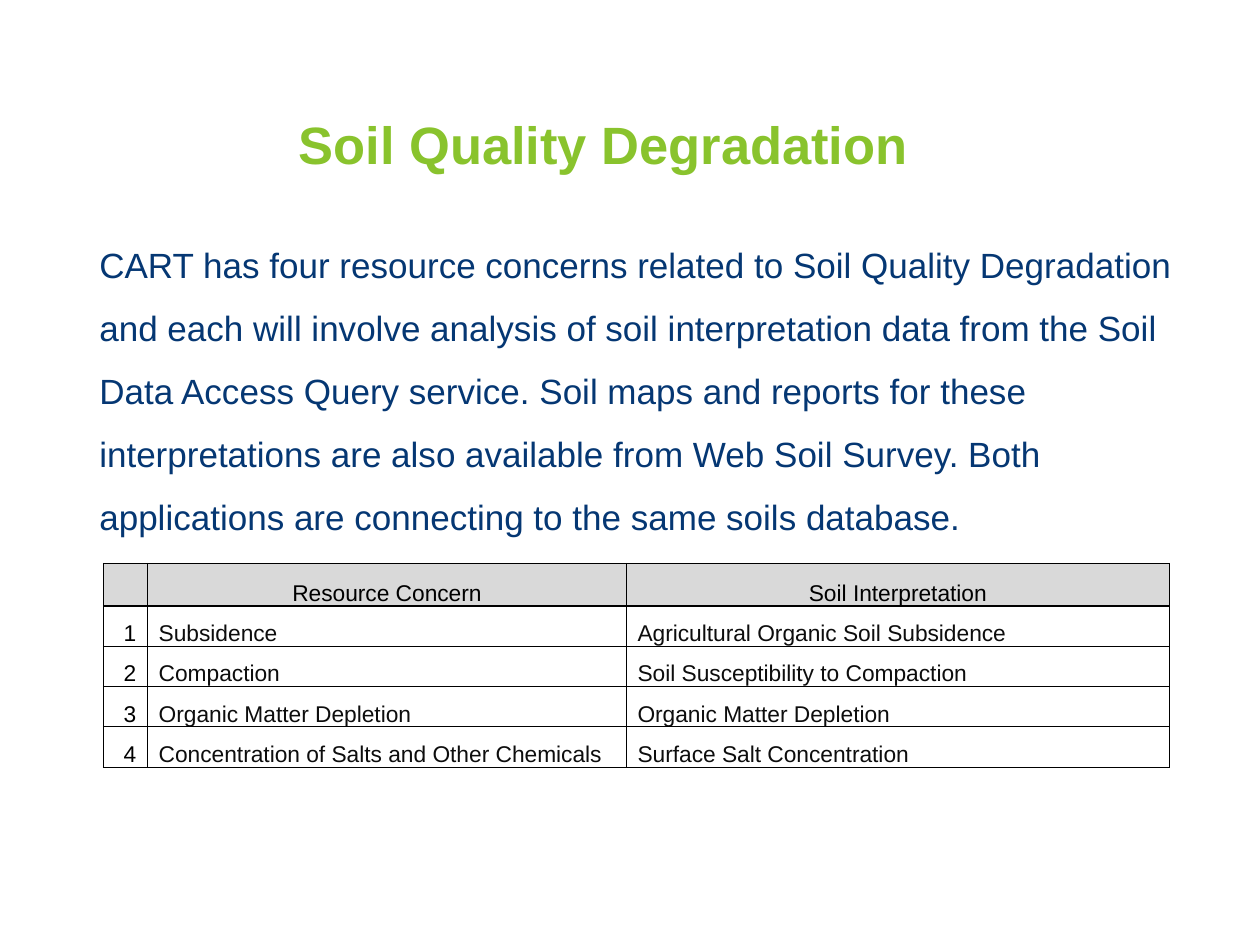
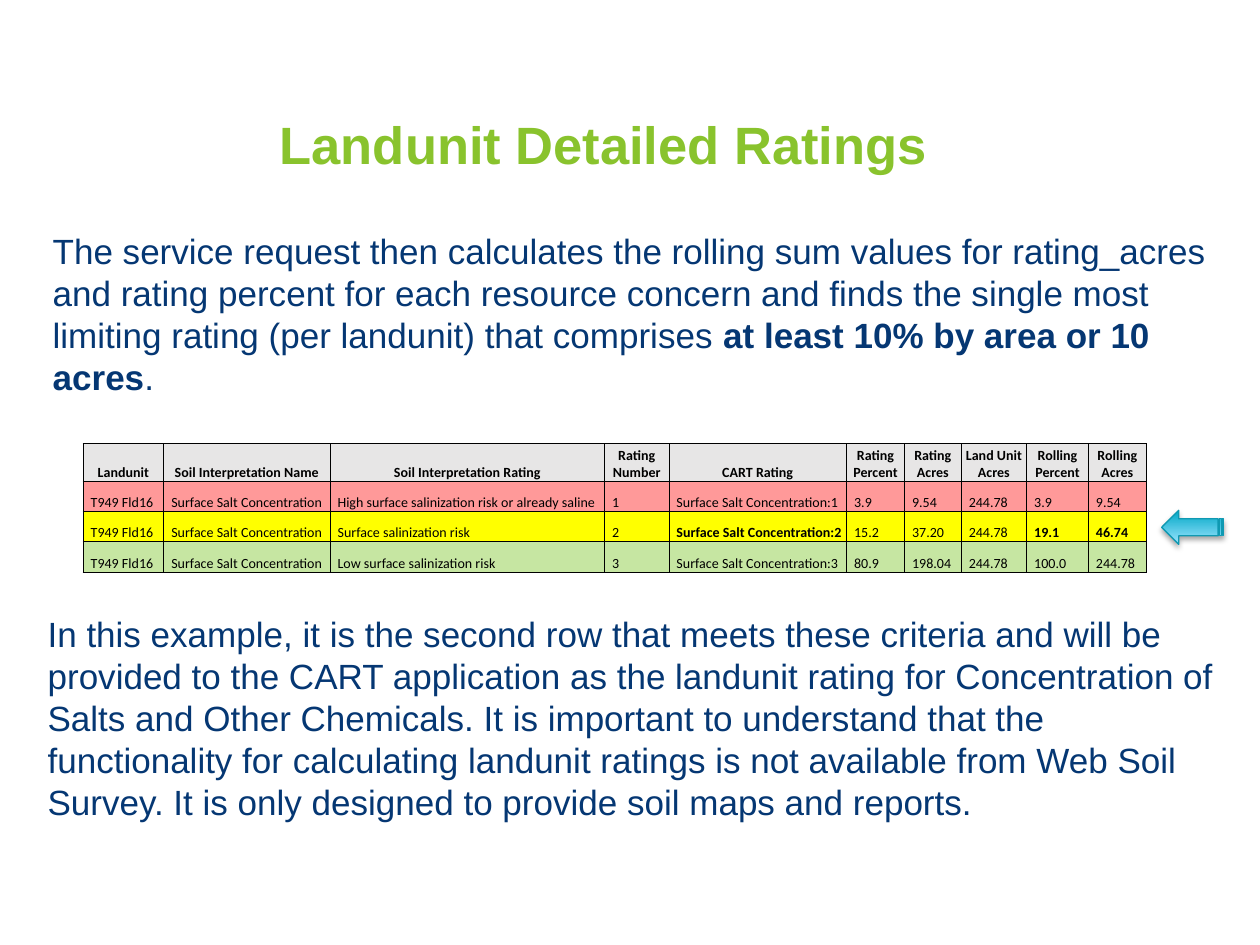
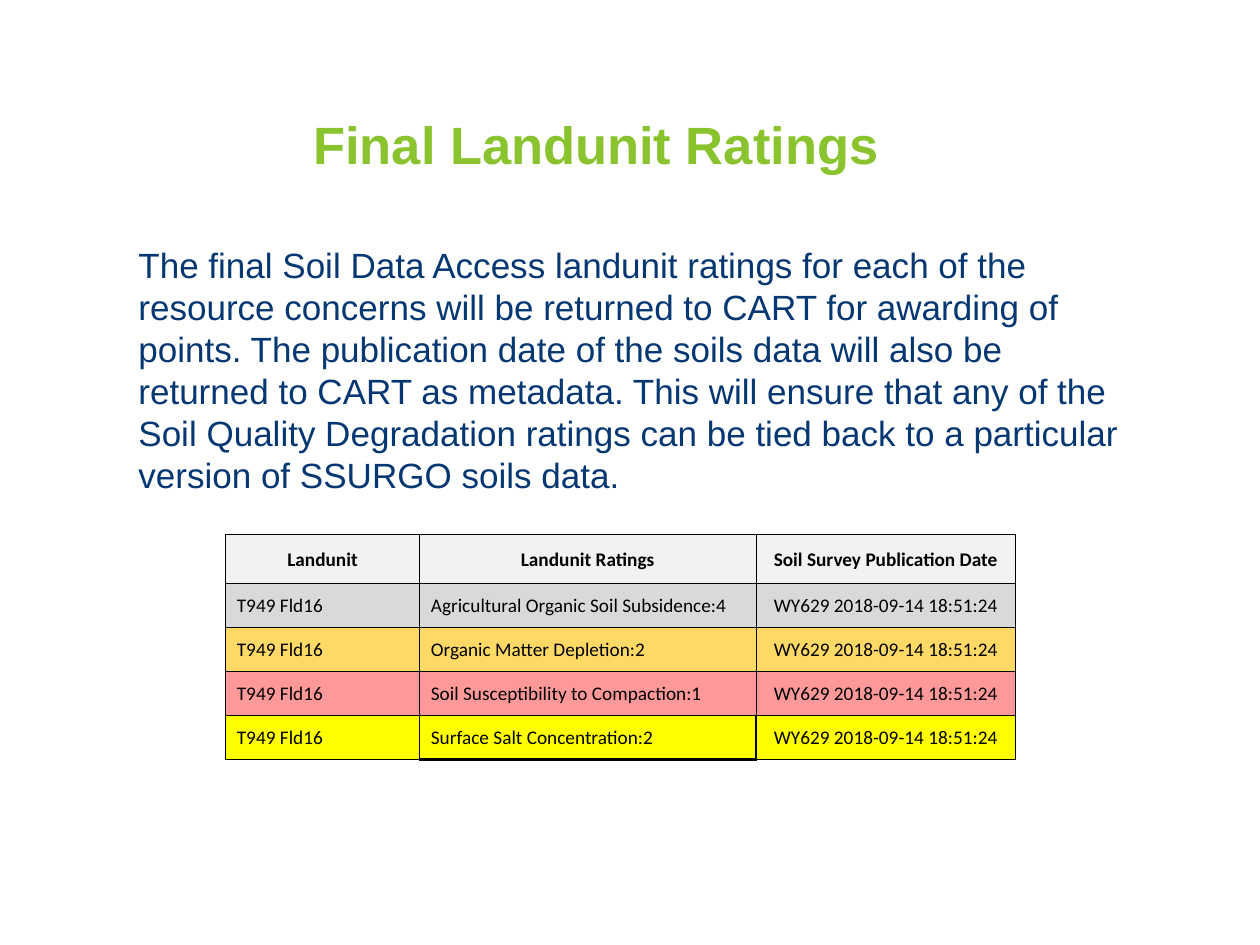
from dataclasses import dataclass, field

from lxml import etree
from pptx import Presentation
from pptx.dml.color import RGBColor
from pptx.enum import shapes, text
from pptx.oxml import ns
from pptx.util import Inches, Pt

GREEN, NAVY, BLACK, WHITE = "89C32D", "053773", "000000", "FFFFFF"
INK, GRAY, ROSE, YELLOW = "0D0D0D", "D9D9D9", "FF9999", "FFFF00"
ALIGN = {"l": text.PP_ALIGN.LEFT, "c": text.PP_ALIGN.CENTER, "r": text.PP_ALIGN.RIGHT}
THIN, MID, THICK = 0.5, 1, 2
UNIT = "T949 Fld16"
SALT = "Surface Salt Concentration"
DATE = "WY629 2018-09-14 18:51:24"


@dataclass
class Body:
    left: float
    top: float
    width: float
    height: float
    runs: list[tuple[str, bool]]
    spacing: float = 1.0


@dataclass
class Grid:
    left: float
    top: float
    cols: list[float]
    head: float
    row: float
    cells: list[list[str]]
    fills: list[str]
    align: str
    font: str
    size: int
    indent: float
    anchor: text.MSO_ANCHOR = text.MSO_ANCHOR.BOTTOM
    bold_head: bool = True
    bold: set[tuple[int, int]] = field(default_factory=set)
    inks: tuple[str, ...] = ()
    # Line widths, by row and column of the cell below or right of the line
    across: dict[tuple[int, int], float] = field(default_factory=dict)
    down: dict[tuple[int, int], float] = field(default_factory=dict)


def rgb(code: str) -> RGBColor:
    return RGBColor.from_string(code)


def style(para, font: str, size: int, color: str, bold: bool = False) -> None:
    para.font.name, para.font.size = font, Pt(size)
    para.font.bold = bold
    para.font.color.rgb = rgb(color)


def add_title(slide, words: str) -> None:
    box = slide.shapes.add_textbox(Inches(0.29), Inches(0.81), Inches(9), Inches(0.73))
    frame = box.text_frame
    frame.word_wrap = True
    frame.margin_top = Inches(0.08)
    para = frame.paragraphs[0]
    para.text = words
    para.alignment = ALIGN["c"]
    style(para, "Arial", 30, GREEN, True)


def add_body(slide, body: Body) -> None:
    box = slide.shapes.add_textbox(Inches(body.left), Inches(body.top),
                                   Inches(body.width), Inches(body.height))
    box.text_frame.word_wrap = True
    para = box.text_frame.paragraphs[0]
    para.line_spacing = body.spacing
    style(para, "Arial", 20, NAVY)
    for words, bold in body.runs:
        run = para.add_run()
        run.text = words
        if bold:
            run.font.bold = True


def add_edge(cell, side: str, width: float) -> None:
    line = etree.SubElement(cell._tc.get_or_add_tcPr(), ns.qn(f"a:ln{side}"),
                            w=str(Pt(width)))
    fill = etree.SubElement(line, ns.qn("a:solidFill"))
    etree.SubElement(fill, ns.qn("a:srgbClr"), val=BLACK)


def fill_cell(cell, grid: Grid, row: int, col: int) -> None:
    head = row == 0
    side = "c" if head else grid.align[col]
    cell.margin_left = Inches(grid.indent if side == "l" else 0.01)
    cell.margin_right = Inches(grid.indent if side == "r" else 0.01)
    cell.margin_top, cell.margin_bottom = Inches(0.01), 0
    cell.vertical_anchor = grid.anchor

    across = {(1, c): MID for c in range(len(grid.cols))} | grid.across
    add_edge(cell, "L", grid.down.get((row, col), THIN))
    add_edge(cell, "R", grid.down.get((row, col + 1), THIN))
    add_edge(cell, "T", across.get((row, col), THIN))
    add_edge(cell, "B", across.get((row + 1, col), THIN))
    cell.fill.solid()
    cell.fill.fore_color.rgb = rgb(grid.fills[row])

    para = cell.text_frame.paragraphs[0]
    para.text = grid.cells[row][col]
    para.alignment = ALIGN[side]
    ink = grid.inks[col] if grid.inks and not head else BLACK
    bold = grid.bold_head if head else (row, col) in grid.bold
    style(para, grid.font, grid.size, ink, bold)


def add_grid(slide, grid: Grid) -> None:
    count = len(grid.cells)
    height = grid.head + grid.row * (count - 1)
    table = slide.shapes.add_table(count, len(grid.cols), Inches(grid.left), Inches(grid.top),
                                   Inches(sum(grid.cols)), Inches(height)).table
    table.first_row = table.horz_banding = False
    for col, width in enumerate(grid.cols):
        table.columns[col].width = Inches(width)
    for row in range(count):
        table.rows[row].height = Inches(grid.row if row else grid.head)
        for col in range(len(grid.cols)):
            fill_cell(table.cell(row, col), grid, row, col)


def add_arrow(slide) -> None:
    arrow = slide.shapes.add_shape(shapes.MSO_SHAPE.STRIPED_RIGHT_ARROW,
                                   Inches(9.22), Inches(4.05), Inches(0.49), Inches(0.27))
    arrow.rotation = 180
    arrow.fill.gradient()
    arrow.fill.gradient_angle = 90
    for stop, color, place in zip(arrow.fill.gradient_stops, ("00A7C5", "9BE4FF"), (0, 1)):
        stop.color.rgb = rgb(color)
        stop.position = place
    arrow.line.color.rgb = rgb("0F99B2")
    arrow.line.width = Pt(0.75)
    arrow.shadow.inherit = False
    effects = arrow.element.spPr.find(ns.qn("a:effectLst"))
    shade = etree.SubElement(effects, ns.qn("a:outerShdw"), blurRad=str(Pt(3.1)),
                             dist=str(Pt(1.8)), dir="5400000", rotWithShape="0")
    color = etree.SubElement(shade, ns.qn("a:srgbClr"), val=BLACK)
    etree.SubElement(color, ns.qn("a:alpha"), val="35000")


def add_page(deck, title: str, bodies: list[Body], grid: Grid):
    slide = deck.slides.add_slide(deck.slide_layouts[6])
    for body in bodies:
        add_body(slide, body)
    add_title(slide, title)
    add_grid(slide, grid)
    return slide


CONCERNS = Grid(
    0.82, 4.47, [0.35, 3.8, 4.31], 0.34, 0.32,
    [["", "Resource Concern", "Soil Interpretation"],
     ["1", "Subsidence", "Agricultural Organic Soil Subsidence"],
     ["2", "Compaction", "Soil Susceptibility to Compaction"],
     ["3", "Organic Matter Depletion", "Organic Matter Depletion"],
     ["4", "Concentration of Salts and Other Chemicals", SALT]],
    [GRAY] + [WHITE] * 4, "rll", "Arial", 13, 0.09,
    bold_head=False, inks=(BLACK, INK, INK))

DETAILS = Grid(
    0.66, 3.52, [0.64, 1.32, 2.18, 0.51, 1.41, 0.46, 0.45, 0.52, 0.49, 0.46], 0.3, 0.24,
    [["Landunit", "Soil Interpretation Name", "Soil Interpretation Rating", "Rating Number",
      "CART Rating", "Rating Percent", "Rating Acres", "Land Unit Acres",
      "Rolling Percent", "Rolling Acres"]]
    + [[UNIT, SALT, risk, str(rank), f"{SALT}:{rank}", share, acres, "244.78", total, area]
       for rank, (risk, share, acres, total, area) in enumerate([
           ("High surface salinization risk or already saline", "3.9", "9.54", "3.9", "9.54"),
           ("Surface salinization risk", "15.2", "37.20", "19.1", "46.74"),
           ("Low surface salinization risk", "80.9", "198.04", "100.0", "244.78")], 1)],
    ["E7E6E6", ROSE, YELLOW, "C6E6A2"], "l" * 10, "Calibri", 8, 0.06,
    bold={(2, 4), (2, 8), (2, 9)},
    across={(row, col): MID for row in (2, 3) for col in (8, 9)},
    down={(2, 8): MID, (2, 10): MID})

FINALS = Grid(
    1.79, 4.24, [1.54, 2.67, 2.06], 0.39, 0.35,
    [["Landunit", "Landunit Ratings", "Soil Survey Publication Date"]]
    + [[UNIT, rating, DATE] for rating in (
        "Agricultural Organic Soil Subsidence:4", "Organic Matter Depletion:2",
        "Soil Susceptibility to Compaction:1", f"{SALT}:2")],
    ["F2F2F2", GRAY, "FFD966", ROSE, YELLOW], "llc", "Calibri", 11, 0.09,
    anchor=text.MSO_ANCHOR.MIDDLE,
    across={(4, 1): MID, (5, 1): THICK}, down={(4, 1): MID, (4, 2): MID})


def main() -> None:
    deck = Presentation()
    deck.slide_width, deck.slide_height = Inches(10), Inches(7.5)

    add_page(deck, "Soil Quality Degradation", [Body(0.69, 1.72, 8.83, 2.56, [(
        "CART has four resource concerns related to Soil Quality Degradation and each will "
        "involve analysis of soil interpretation data from the Soil Data Access Query service. "
        "Soil maps and reports for these interpretations are also available from Web Soil "
        "Survey. Both applications are connecting to the same soils database.", False)],
        1.5)], CONCERNS)

    ratings = add_page(deck, "Landunit Detailed Ratings", [
        Body(0.28, 4.81, 9.47, 1.78, [(
            "In this example, it is the second row that meets these criteria and will be "
            "provided to the CART application as the landunit rating for Concentration of "
            "Salts and Other Chemicals. It is important to understand that the functionality "
            "for calculating landunit ratings is not available from Web Soil Survey. It is "
            "only designed to provide soil maps and reports.", False)]),
        Body(0.32, 1.77, 9.47, 1.78, [
            ("The service request then calculates the rolling sum values for rating_acres and "
             "rating percent for each resource concern and finds the single most limiting "
             "rating (per landunit) that comprises ", False),
            ("at least 10% by area or 10 acres", True),
            (".", False)])], DETAILS)
    add_arrow(ratings)

    add_page(deck, "Final Landunit Ratings ", [Body(1, 1.88, 8.02, 2.12, [(
        "The final Soil Data Access landunit ratings for each of the resource concerns will be "
        "returned to CART for awarding of points. The publication date of the soils data will "
        "also be returned to CART as metadata. This will ensure that any of the Soil Quality "
        "Degradation ratings can be tied back to a particular version of SSURGO soils data.",
        False)])], FINALS)

    deck.save("out.pptx")


if __name__ == "__main__":
    main()
